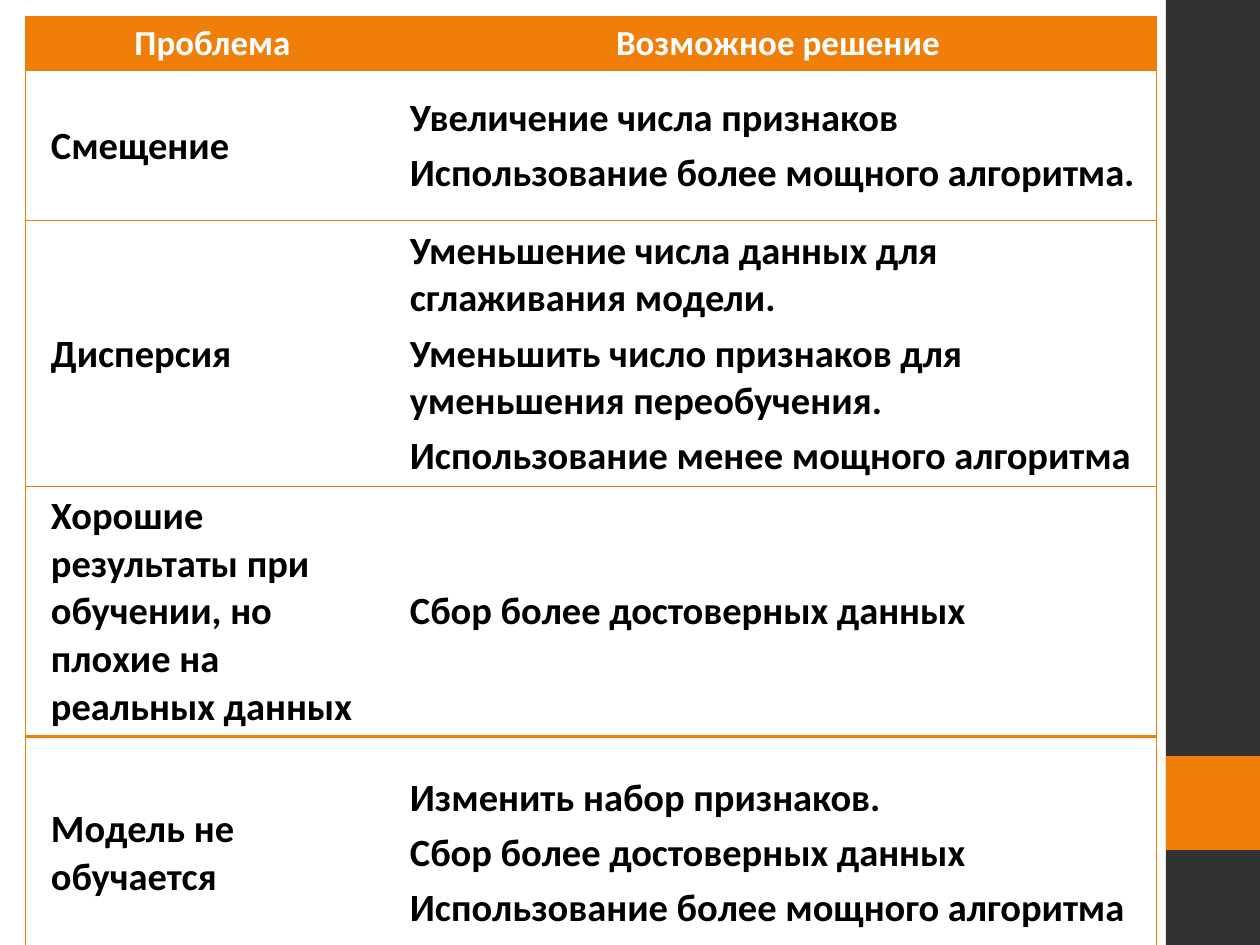
"""Build a slide with a table of model problems and their possible solutions."""
from dataclasses import dataclass

from lxml import etree
from pptx import Presentation
from pptx import util as u
from pptx.dml.color import RGBColor
from pptx.enum import shapes, text
from pptx.oxml import ns

EMU_PER_PX = 914400 / 126
COLORS = {
    "orange": "F07F09",
    "border": "F07C03",
    "dark": "323232",
    "white": "FFFFFF",
    "black": "000000",
}
COLUMN_WIDTHS = (359, 772)
THIN, THICK = ("border", 0.45), ("orange", 1.98)


@dataclass(frozen=True)
class Block:
    left: int
    top: int
    width: int
    height: int
    color: str


@dataclass(frozen=True)
class Row:
    height: int
    problem: str
    solutions: tuple[str, ...]
    top: tuple[str, float] = THIN
    bottom: tuple[str, float] = THIN
    header: bool = False


BLOCKS = (
    Block(1166, 0, 94, 945, "dark"),
    Block(1166, 756, 94, 94, "orange"),
)
ROWS = (
    Row(49, "Проблема", ("Возможное решение",), header=True),
    Row(150, "Смещение", (
        "Увеличение числа признаков",
        "Использование более мощного алгоритма.",
    )),
    Row(251, "Дисперсия", (
        "Уменьшение числа данных для сглаживания модели.",
        "Уменьшить число признаков для уменьшения переобучения.",
        "Использование менее мощного алгоритма",
    )),
    Row(236, "Хорошие результаты при обучении, но плохие на реальных данных",
        ("Сбор более достоверных данных",), bottom=THICK),
    Row(233, "Модель не обучается", (
        "Изменить набор признаков.",
        "Сбор более достоверных данных",
        "Использование более мощного алгоритма",
    ), top=THICK),
)


def px(length: int) -> u.Emu:
    return u.Emu(round(length * EMU_PER_PX))


def rgb(name: str) -> RGBColor:
    return RGBColor.from_string(COLORS[name])


def draw_block(page, block: Block) -> None:
    shape = page.shapes.add_shape(
        shapes.MSO_SHAPE.RECTANGLE,
        px(block.left), px(block.top), px(block.width), px(block.height))
    shape.shadow.inherit = False
    shape.fill.solid()
    shape.fill.fore_color.rgb = rgb(block.color)
    shape.line.fill.background()


def set_borders(cell, borders: dict) -> None:
    properties = cell._tc.get_or_add_tcPr()
    for index, side in enumerate("LRTB"):
        line = etree.Element(ns.qn(f"a:ln{side}"))
        if side in borders:
            color, points = borders[side]
            line.set("w", str(u.Pt(points)))
            fill = etree.SubElement(line, ns.qn("a:solidFill"))
            etree.SubElement(fill, ns.qn("a:srgbClr"), val=COLORS[color])
        else:
            line.set("w", "0")
            etree.SubElement(line, ns.qn("a:noFill"))
        properties.insert(index, line)


def fill_cell(cell, lines: tuple[str, ...], header: bool) -> None:
    cell.margin_left = cell.margin_right = px(10)
    cell.margin_top = cell.margin_bottom = px(6)
    cell.vertical_anchor = text.MSO_ANCHOR.MIDDLE
    if header:
        cell.fill.solid()
        cell.fill.fore_color.rgb = rgb("orange")
    else:
        cell.fill.background()
    cell.text_frame.text = "\n".join(lines)
    for para in cell.text_frame.paragraphs:
        para.alignment = text.PP_ALIGN.CENTER if header else text.PP_ALIGN.LEFT
        para.space_before = u.Pt(4.2)
        if not header:
            para.line_spacing = 1.02
        para.font.name = "Calibri"
        para.font.size = u.Pt(20 if header else 22)
        para.font.bold = True
        para.font.color.rgb = rgb("white" if header else "black")
        indents = para._p.get_or_add_pPr()
        indents.set("marL", str(px(16)))
        indents.set("indent", "0")


def draw_table(page, left: int, top: int, rows: tuple[Row, ...]) -> None:
    frame = page.shapes.add_table(
        len(rows), len(COLUMN_WIDTHS), px(left), px(top),
        px(sum(COLUMN_WIDTHS)), px(sum(row.height for row in rows)))
    table = frame.table
    table.first_row = table.horz_banding = False
    for column, width in zip(table.columns, COLUMN_WIDTHS):
        column.width = px(width)
    for index, row in enumerate(rows):
        table.rows[index].height = px(row.height)
        contents = ((row.problem,), row.solutions)
        for cell, lines, outer in zip(table.rows[index].cells, contents, "LR"):
            fill_cell(cell, lines, row.header)
            set_borders(cell, {outer: THIN, "T": row.top, "B": row.bottom})


def main() -> None:
    deck = Presentation()
    deck.slide_width, deck.slide_height = px(1260), px(945)
    page = deck.slides.add_slide(deck.slide_layouts[6])
    for block in BLOCKS:
        draw_block(page, block)
    draw_table(page, 25, 16, ROWS)
    deck.save("out.pptx")


if __name__ == "__main__":
    main()
